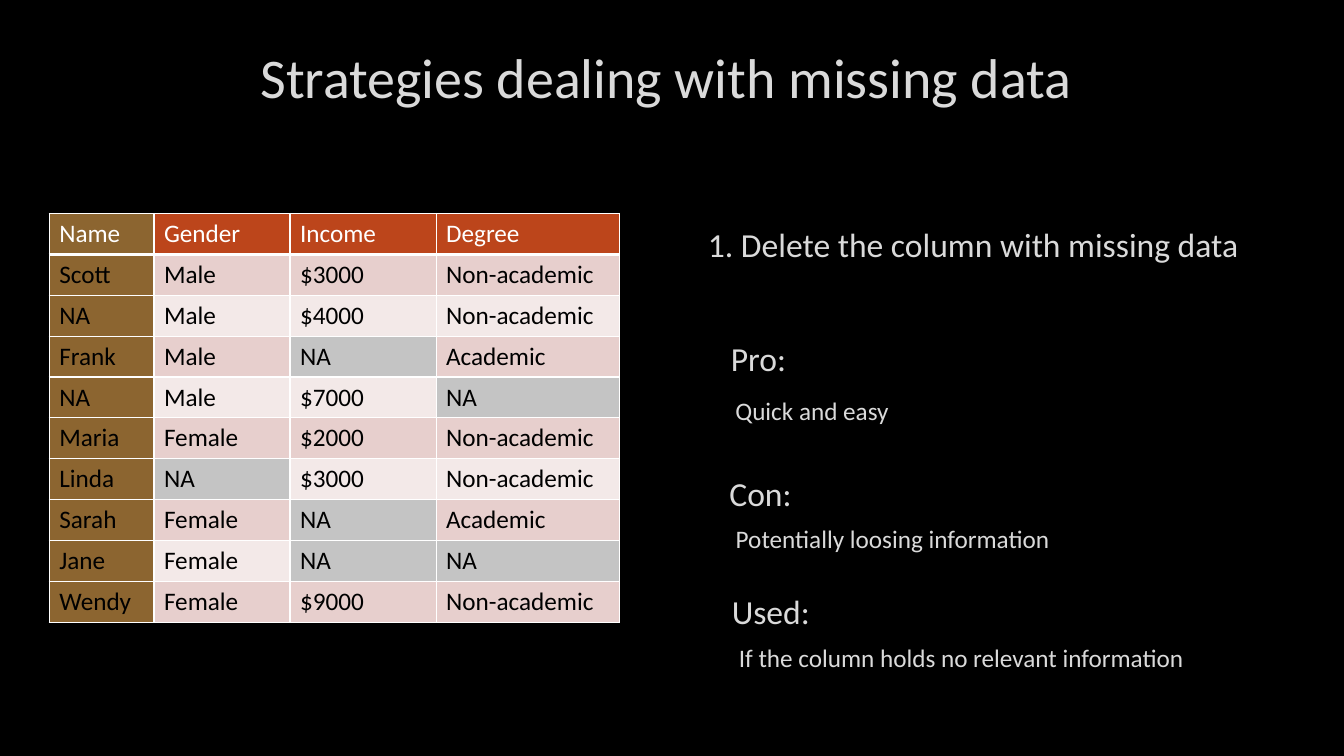
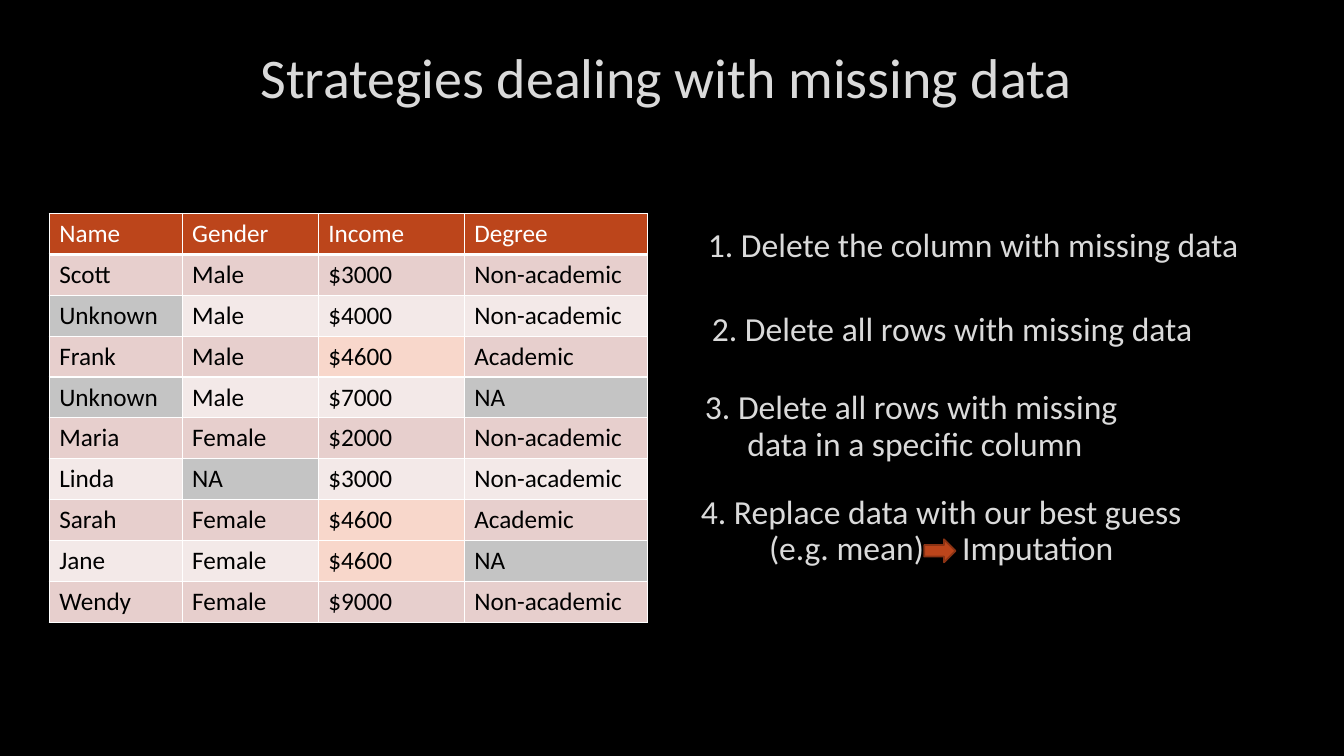
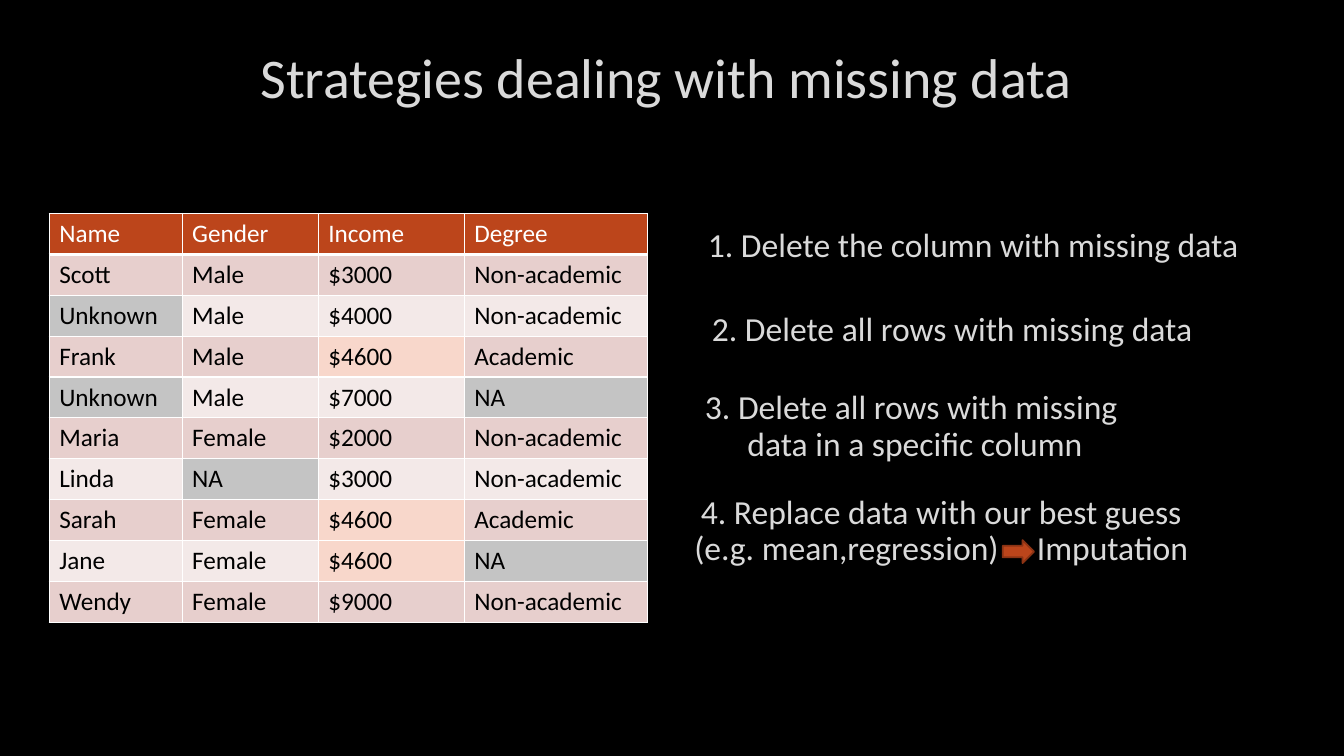
from pptx import Presentation
from pptx.dml.color import RGBColor
from pptx.enum.shapes import MSO_SHAPE
from pptx.enum.text import MSO_ANCHOR, MSO_AUTO_SIZE, PP_ALIGN
from pptx.oxml import parse_xml
from pptx.oxml.ns import nsdecls
from pptx.util import Cm, Pt

FONT = "Calibri"
BLACK, WHITE, TEXT = "000000", "FFFFFF", "DADADA"
RUST, RUST_DARK, BROWN = "BC451B", "8B3314", "8C6530"
BANDS = ["F3E9E8", "E7CFCD"]
MISSING, IMPUTED = "C4C4C4", "F8D7CB"
MEAN = "$4600"
GAP = " "

HEADER = ["Name", "Gender", "Income", "Degree"]
PEOPLE = [
    ["Scott", "Male", "$3000", "Non-academic"],
    ["NA", "Male", "$4000", "Non-academic"],
    ["Frank", "Male", "NA", "Academic"],
    ["NA", "Male", "$7000", "NA"],
    ["Maria", "Female", "$2000", "Non-academic"],
    ["Linda", "NA", "$3000", "Non-academic"],
    ["Sarah", "Female", "NA", "Academic"],
    ["Jane", "Female", "NA", "NA"],
    ["Wendy", "Female", "$9000", "Non-academic"],
]
GUESSES = {"Name": "Unknown", "Income": MEAN}
IMPUTED_PEOPLE = [
    [GUESSES.get(h, v) if v == "NA" else v for h, v in zip(HEADER, row)]
    for row in PEOPLE
]

STEP_1 = (15.62, 5.31, 24, [["1. Delete the column with missing data"]])
STEP_2 = (15.09, 7.42, 24, [["2. Delete all rows with missing data"]])
STEP_3 = (13.89, 9.68, 24, [["3. Delete all rows with missing "],
                            ["data in a specific column"]])
STEP_4 = "4. Replace data with our best guess"

SLIDES = [
    {"rows": PEOPLE, "name_width": 2.64, "name_fill": BROWN, "arrow": None,
     "texts": [
         STEP_1,
         (10.21, 8.18, 24, [["Pro:"]]),
         (10.26, 11.58, 24, [["Con:"]]),
         (10.52, 14.55, 24, [["Used:"]]),
         (11.56, 9.5, 18, [["Quick and easy"]]),
         (13.59, 12.73, 18, [["Potentially loosing information"]]),
         (15.32, 15.72, 18, [["If the column holds no relevant information"]]),
     ]},
]
for example, arrow in [("(e.g. mean)", (23.29, 13.59)),
                       ("(e.g. mean,regression)", (25.27, 13.61))]:
    step_4 = (14.55, 12.32, 24, [[STEP_4], [example, GAP, "Imputation"]])
    SLIDES.append({"rows": IMPUTED_PEOPLE, "name_width": 3.35, "name_fill": None,
                   "arrow": arrow, "texts": [STEP_1, STEP_2, STEP_3, step_4]})


def rgb(value):
    return RGBColor.from_string(value)


def write(tf, lines, size, color=TEXT, align=PP_ALIGN.CENTER):
    for i, line in enumerate(lines):
        p = tf.paragraphs[0] if i == 0 else tf.add_paragraph()
        p.alignment = align
        if len(lines) > 1:
            p.line_spacing = 0.9
        for text in line:
            r = p.add_run()
            r.text = text
            r.font.name = FONT
            r.font.size = Pt(size)
            r.font.color.rgb = rgb(color)
            if text == GAP:
                r._r.get_or_add_rPr().set("spc", "2170")


prs = Presentation()
prs.slide_width, prs.slide_height = Cm(33.87), Cm(19.05)
fill = prs.slide_master.background.fill
fill.solid()
fill.fore_color.rgb = rgb(BLACK)
layout = prs.slide_layouts[5]

for page in SLIDES:
    s = prs.slides.add_slide(layout)

    title = s.shapes.title
    title.left, title.top = Cm(2.57), Cm(0.58)
    title.width, title.height = Cm(28.75), Cm(2.69)
    tf = title.text_frame
    tf.auto_size = MSO_AUTO_SIZE.NONE
    tf.vertical_anchor = MSO_ANCHOR.MIDDLE
    write(tf, [["Strategies dealing with missing data "]], 40)

    rows = [HEADER] + page["rows"]
    widths = [page["name_width"], 3.43, 3.68, 4.62]
    tbl = s.shapes.add_table(len(rows), len(HEADER), Cm(1.24), Cm(5.38),
                             Cm(sum(widths)), Cm(1.03 * len(rows))).table
    tbl.first_row = tbl.horz_banding = False
    for col, width in zip(tbl.columns, widths):
        col.width = Cm(width)
    for i, row in enumerate(rows):
        tbl.rows[i].height = Cm(1.03)
        for j, text in enumerate(row):
            cell = tbl.cell(i, j)
            write(cell.text_frame, [[text]], 18, BLACK if i else WHITE, PP_ALIGN.LEFT)

            borders = {"lnL": 1, "lnR": 1, "lnB": 1} if i else {"lnL": 1, "lnR": 1, "lnT": 1, "lnB": 3}
            tcPr = cell._tc.get_or_add_tcPr()
            for tag, points in borders.items():
                tcPr.append(parse_xml(
                    f'<a:{tag} {nsdecls("a")} w="{Pt(points)}"><a:solidFill>'
                    f'<a:srgbClr val="{WHITE}"/></a:solidFill></a:{tag}>'))

            if j == 0 and page["name_fill"]:
                color = page["name_fill"]
            elif i == 0:
                color = RUST
            elif text in ("NA", "Unknown"):
                color = MISSING
            elif text == MEAN:
                color = IMPUTED
            else:
                color = BANDS[i % 2]
            cell.fill.solid()
            cell.fill.fore_color.rgb = rgb(color)

    for left, top, size, lines in page["texts"]:
        width, height = (17.81, 1.7) if len(lines) == 1 else (18.34, 2.16)
        tf = s.shapes.add_textbox(Cm(left), Cm(top), Cm(width), Cm(height)).text_frame
        tf.word_wrap = True
        tf.vertical_anchor = MSO_ANCHOR.MIDDLE
        write(tf, lines, size)

    if page["arrow"]:
        left, top = page["arrow"]
        sp = s.shapes.add_shape(MSO_SHAPE.RIGHT_ARROW, Cm(left), Cm(top), Cm(0.79), Cm(0.58))
        sp.shadow.inherit = False
        sp.fill.solid()
        sp.fill.fore_color.rgb = rgb(RUST)
        sp.line.color.rgb = rgb(RUST_DARK)
        sp.line.width = Pt(1.25)

prs.save("out.pptx")
